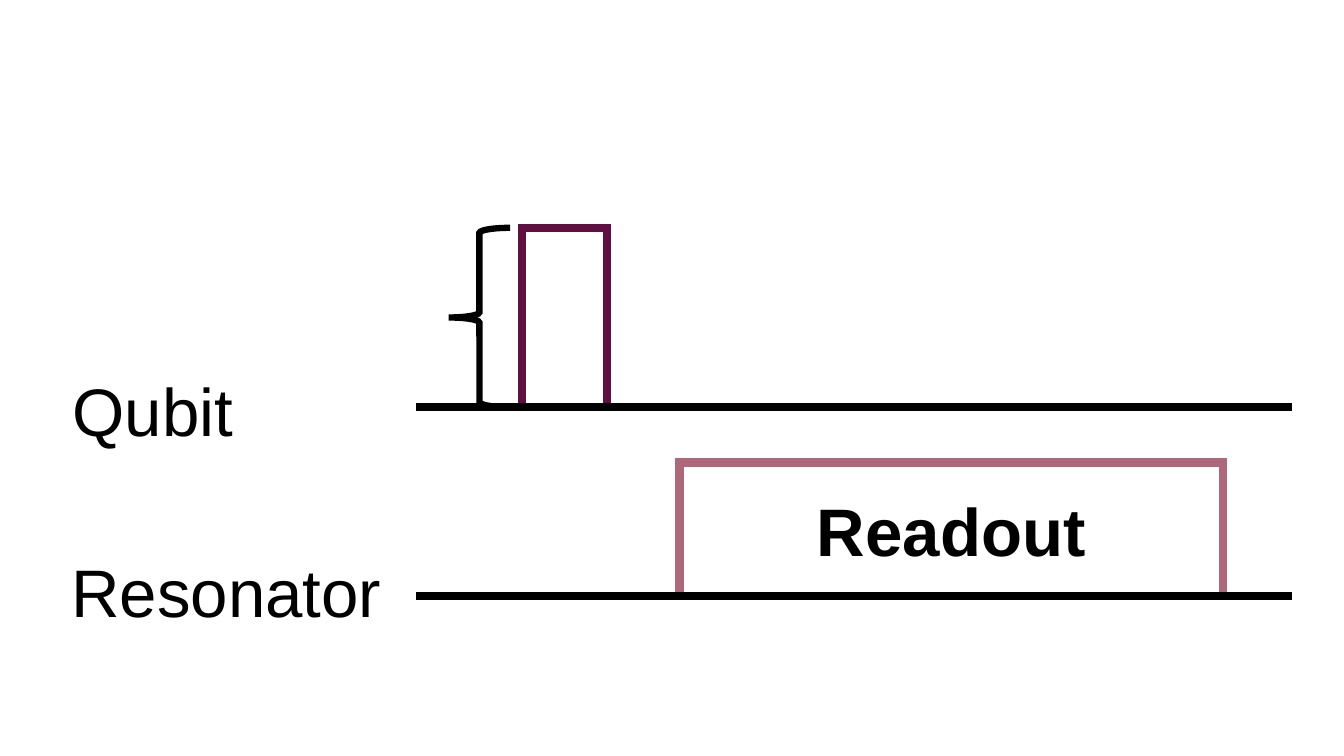
from pptx import Presentation
from pptx.dml.color import RGBColor
from pptx.enum.shapes import MSO_CONNECTOR, MSO_SHAPE
from pptx.enum.text import MSO_ANCHOR, MSO_AUTO_SIZE, PP_ALIGN
from pptx.oxml.xmlchemy import OxmlElement
from pptx.util import Inches, Pt

BLACK = RGBColor(0x00, 0x00, 0x00)
PLUM = RGBColor(0x5F, 0x0F, 0x40)
ROSE = RGBColor(0xAF, 0x67, 0x7C)


def style(text, bold=False):
    font = text.font
    font.name = "Arial"
    font.size = Pt(48)
    font.bold = bold
    font.color.rgb = BLACK


def outline(slide, kind, left, top, width, height, color, weight):
    shape = slide.shapes.add_shape(
        kind, Inches(left), Inches(top), Inches(width), Inches(height))
    shape.shadow.inherit = False
    shape.fill.background()
    shape.line.color.rgb = color
    shape.line.width = Pt(weight)
    miter = OxmlElement("a:miter")
    miter.set("lim", "800000")
    shape._element.spPr.ln.append(miter)
    return shape


def pulse(slide, left, base, width, height, color, text=""):
    shape = outline(slide, MSO_SHAPE.RECTANGLE, left, base - height,
                    width, height, color, 6)
    if text:
        frame = shape.text_frame
        frame.vertical_anchor = MSO_ANCHOR.MIDDLE
        line = frame.paragraphs[0]
        line.text = text
        line.alignment = PP_ALIGN.CENTER
        style(line, True)


def axis(slide, left, base, width):
    line = slide.shapes.add_connector(
        MSO_CONNECTOR.STRAIGHT, Inches(left), Inches(base),
        Inches(left + width), Inches(base))
    line.line.color.rgb = BLACK
    line.line.width = Pt(6)
    line._element.spPr.append(OxmlElement("a:effectLst"))


def label(slide, left, top, width, height, text):
    box = slide.shapes.add_textbox(
        Inches(left), Inches(top), Inches(width), Inches(height))
    frame = box.text_frame
    frame.word_wrap = False
    frame.auto_size = MSO_AUTO_SIZE.SHAPE_TO_FIT_TEXT
    line = frame.paragraphs[0]
    line.text = text
    style(line)


def qubit(slide, left, base, width):
    high = 1.78
    pulse(slide, left + 1.05, base, 0.84, high, PLUM)
    axis(slide, left, base, width)
    outline(slide, MSO_SHAPE.LEFT_BRACE, left + 0.32, base - high,
            0.61, high, BLACK, 4.5)
    label(slide, left - 3.51, base - 0.43, 1.81, 0.91, "Qubit")


def reader(slide, left, base, width):
    pulse(slide, left + 2.61, base, 5.39, 1.32, ROSE, "Readout")
    axis(slide, left, base, width)
    label(slide, left - 3.52, base - 0.5, 3.31, 0.91, "Resonator")


def main():
    deck = Presentation()
    deck.slide_width = Inches(13.33)
    deck.slide_height = Inches(7.5)
    slide = deck.slides.add_slide(deck.slide_layouts[6])
    left, width = 4.13, 8.68
    qubit(slide, left, 4.04, width)
    reader(slide, left, 5.91, width)
    deck.save("out.pptx")


if __name__ == "__main__":
    main()
